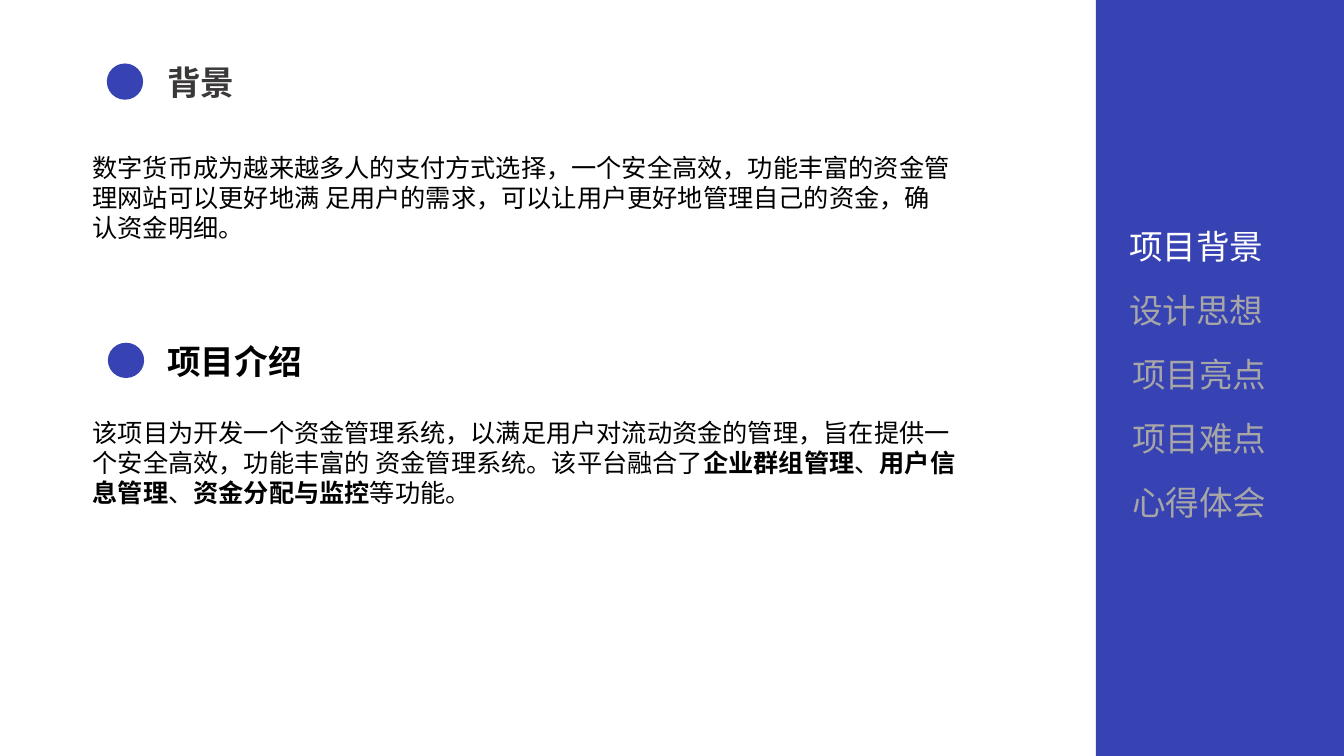
from lxml import etree
from pptx import Presentation
from pptx.dml.color import RGBColor
from pptx.enum.shapes import MSO_SHAPE
from pptx.enum.text import MSO_ANCHOR, PP_ALIGN
from pptx.oxml.ns import qn
from pptx.util import Inches, Pt

RECTANGLE, OVAL = MSO_SHAPE.RECTANGLE, MSO_SHAPE.OVAL
TOP, LEFT = MSO_ANCHOR.TOP, PP_ALIGN.LEFT
FONT, LATIN_FONT = "Noto Sans CJK SC", "Karla"
COLORS = {
    "blue": "3843B3",
    "heading": "3B3838",
    "black": "000000",
    "active": "FFFFFF",
    "inactive": "A6A6A6",
}
BACKGROUND = (
    "数字货币成为越来越多人的支付方式选择，一个安全高效，功能丰富的资金管理网站可以更好地满 "
    "足用户的需求，可以让用户更好地管理自己的资金，确认资金明细。"
)
INTRODUCTION = (
    "该项目为开发一个资金管理系统，以满足用户对流动资金的管理，"
    "旨在提供一个安全高效，功能丰富的 资金管理系统。"
)
FEATURES = [
    ("该平台融合了", False),
    ("企业群组管理", True),
    ("、", False),
    ("用户信息管理", True),
    ("、", False),
    ("资金分配与监控", True),
    ("等功能。", False),
]
CHAPTERS = [
    ("项目背景", 11.1),
    ("设计思想", 11.1),
    ("项目亮点", 11.13),
    ("项目难点", 11.13),
    ("心得体会", 11.13),
]
CHAPTER_TOP, CHAPTER_PITCH = 2.19, 0.635


def add_filled_shape(slide, kind, left, top, width, height):
    """Add a plain blue shape without outline or shadow."""
    shape = slide.shapes.add_shape(
        kind, Inches(left), Inches(top), Inches(width), Inches(height)
    )
    shape.shadow.inherit = False
    shape.fill.solid()
    shape.fill.fore_color.rgb = RGBColor.from_string(COLORS["blue"])
    shape.line.fill.background()


def write_text(shape, text, size, color, bold=False, wrap=True):
    """Write one left-aligned paragraph in a shape and return it."""
    frame = shape.text_frame
    frame.word_wrap = wrap
    frame.vertical_anchor = TOP
    paragraph = frame.paragraphs[0]
    paragraph.alignment = LEFT
    paragraph.add_run().text = text
    font = paragraph.font
    font.name, font.size, font.bold = FONT, Pt(size), bold
    font.color.rgb = RGBColor.from_string(COLORS[color])
    properties = paragraph._p.pPr.find(qn("a:defRPr"))
    etree.SubElement(properties, qn("a:ea"), typeface=FONT)
    return paragraph


def add_text(slide, left, top, width, height, text, size, color, bold=False, wrap=True):
    """Add a text box with one paragraph and return the paragraph."""
    box = slide.shapes.add_textbox(
        Inches(left), Inches(top), Inches(width), Inches(height)
    )
    return write_text(box, text, size, color, bold, wrap)


def set_title(slide, text):
    """Place and format the title placeholder."""
    title = slide.shapes.title
    title.left, title.top = Inches(1.56), Inches(0.56)
    title.width, title.height = Inches(2.91), Inches(0.5)
    write_text(title, text, 24, "heading", bold=True)


def add_sidebar(slide):
    """Add the blue band and its chapter list with the first one active."""
    add_filled_shape(slide, RECTANGLE, 10.87, 0, 2.46, 7.5)
    for index, (chapter, left) in enumerate(CHAPTERS):
        top = CHAPTER_TOP + index * CHAPTER_PITCH
        color = "inactive" if index else "active"
        add_text(slide, left, top, 1.95, 0.5, chapter, 24, color)


def main():
    """Build the project background slide."""
    presentation = Presentation()
    presentation.slide_width, presentation.slide_height = Inches(13.33), Inches(7.5)
    slide = presentation.slides.add_slide(presentation.slide_layouts[5])
    add_sidebar(slide)
    set_title(slide, "背景")
    add_filled_shape(slide, OVAL, 1.06, 0.63, 0.36, 0.36)
    add_text(slide, 0.82, 1.46, 8.7, 1.92, BACKGROUND, 18, "black")
    add_filled_shape(slide, OVAL, 1.07, 3.4, 0.36, 0.35)
    add_text(slide, 1.56, 3.33, 1.55, 0.5, "项目介绍", 24, "black", bold=True, wrap=False)
    introduction = add_text(slide, 0.82, 4.09, 8.78, 2.22, INTRODUCTION, 18, "black")
    for text, bold in FEATURES:
        run = introduction.add_run()
        run.text = text
        run.font.name, run.font.bold = LATIN_FONT, bold
    presentation.save("out.pptx")


if __name__ == "__main__":
    main()
